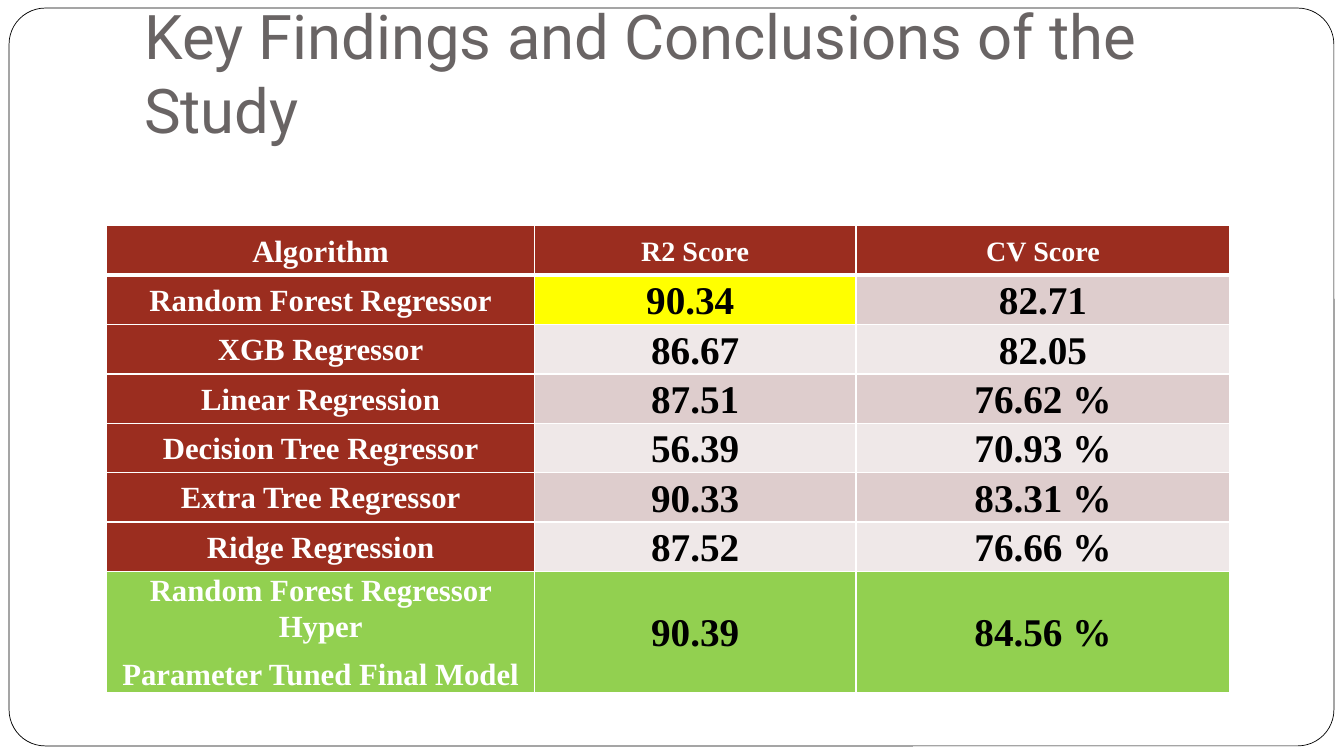
from lxml import etree
from pptx import Presentation
from pptx.dml.color import RGBColor
from pptx.enum.shapes import MSO_SHAPE
from pptx.enum.text import MSO_ANCHOR, MSO_AUTO_SIZE, PP_ALIGN
from pptx.oxml.ns import qn
from pptx.util import Inches, Pt

ROUNDED = MSO_SHAPE.ROUNDED_RECTANGLE
MIDDLE, BOTTOM = MSO_ANCHOR.MIDDLE, MSO_ANCHOR.BOTTOM
LEFT, CENTER = PP_ALIGN.LEFT, PP_ALIGN.CENTER
NO_AUTOFIT = MSO_AUTO_SIZE.NONE

WHITE = RGBColor(0xFF, 0xFF, 0xFF)
BLACK = RGBColor(0x00, 0x00, 0x00)
GRAY = RGBColor(0x69, 0x64, 0x64)
BRICK = RGBColor(0x9B, 0x2D, 0x1F)
ROSE = RGBColor(0xDE, 0xCD, 0xCD)
PALE_ROSE = RGBColor(0xEF, 0xE8, 0xE8)
YELLOW = RGBColor(0xFF, 0xFF, 0x00)
GREEN = RGBColor(0x92, 0xD0, 0x50)

TITLE_FONT = "Roboto"
TABLE_FONT = "Times New Roman"

SCORES = [
    ("Algorithm", "R2 Score", "CV Score"),
    ("Random Forest Regressor", "90.34 ", "82.71"),
    ("XGB Regressor", "86.67", "82.05"),
    ("Linear Regression", "87.51", "76.62 %"),
    ("Decision Tree Regressor", "56.39", "70.93 %"),
    ("Extra Tree Regressor", "90.33", "83.31 %"),
    ("Ridge Regression", "87.52", "76.66 %"),
    ("Random Forest Regressor Hyper\nParameter Tuned Final Model", "90.39", "84.56 %"),
]
COLUMN_WIDTHS = (4.24, 3.19, 3.71)
ROW_HEIGHT, FINAL_ROW_HEIGHT = 0.49, 1.2
FINAL_ROW = len(SCORES) - 1
BEST_SCORE = (1, 1)


def add_run(paragraph, text, font, size, color, bold=False):
    run = paragraph.add_run()
    run.text = text
    run.font.name = font
    run.font.size = Pt(size)
    run.font.color.rgb = color
    run.font.bold = bold


def add_frame(slide, left, top, width, height):
    """Draw the rounded page border behind the title."""
    frame = slide.shapes.add_shape(
        ROUNDED, Inches(left), Inches(top), Inches(width), Inches(height))
    frame.adjustments[0] = 0.049
    frame.shadow.inherit = False
    frame.fill.solid()
    frame.fill.fore_color.rgb = WHITE
    frame.line.color.rgb = BLACK
    frame.line.width = Pt(0.5)
    slide.shapes.title.element.addprevious(frame.element)


def place_title(slide, text, left, top, width, height):
    title = slide.shapes.title
    title.left, title.top = Inches(left), Inches(top)
    title.width, title.height = Inches(width), Inches(height)
    body = title.text_frame
    body.auto_size = NO_AUTOFIT
    body.word_wrap = True
    body.vertical_anchor = BOTTOM
    body.margin_left = body.margin_right = body.margin_bottom = Inches(0.1)
    body.margin_top = Inches(0.05)
    paragraph = body.paragraphs[0]
    paragraph.alignment = LEFT
    add_run(paragraph, text, TITLE_FONT, 44, GRAY)


def set_borders(cell, row):
    properties = cell._tc.get_or_add_tcPr()
    heavy_side = {0: "lnB", 1: "lnT"}.get(row)
    for side in ("lnL", "lnR", "lnT", "lnB"):
        width = Pt(3 if side == heavy_side else 1)
        border = etree.SubElement(properties, qn(f"a:{side}"), w=str(width))
        fill = etree.SubElement(border, qn("a:solidFill"))
        etree.SubElement(fill, qn("a:srgbClr"), val=str(WHITE))


def cell_fill(row, column):
    if row == FINAL_ROW:
        return GREEN
    if row == 0 or column == 0:
        return BRICK
    if (row, column) == BEST_SCORE:
        return YELLOW
    return ROSE if row % 2 else PALE_ROSE


def fill_cell(cell, text, row, column):
    set_borders(cell, row)
    cell.fill.solid()
    cell.fill.fore_color.rgb = cell_fill(row, column)
    cell.vertical_anchor = MIDDLE
    cell.margin_left = cell.margin_right = Inches(0.07)
    cell.margin_top = cell.margin_bottom = 0
    if column == 0:
        size, color = 22, WHITE
    elif row == 0:
        size, color = 20, WHITE
    else:
        size, color = 28, BLACK
    body = cell.text_frame
    for index, line in enumerate(text.split("\n")):
        paragraph = body.add_paragraph() if index else body.paragraphs[0]
        paragraph.alignment = CENTER
        paragraph.line_spacing = 1.07
        paragraph.space_after = Pt(8)
        add_run(paragraph, line, TABLE_FONT, size, color, bold=True)


def add_score_table(slide, left, top):
    heights = [ROW_HEIGHT] * FINAL_ROW + [FINAL_ROW_HEIGHT]
    table = slide.shapes.add_table(
        len(SCORES), len(COLUMN_WIDTHS), Inches(left), Inches(top),
        Inches(sum(COLUMN_WIDTHS)), Inches(sum(heights))).table
    for column, width in zip(table.columns, COLUMN_WIDTHS):
        column.width = Inches(width)
    for row, height in zip(table.rows, heights):
        row.height = Inches(height)
    for row, texts in enumerate(SCORES):
        for column, text in enumerate(texts):
            fill_cell(table.cell(row, column), text, row, column)


def main():
    presentation = Presentation()
    presentation.slide_width = Inches(13.33)
    presentation.slide_height = Inches(7.5)
    slide = presentation.slides.add_slide(presentation.slide_layouts[5])
    add_frame(slide, 0.09, 0.08, 13.14, 7.32)
    place_title(slide, "Key Findings and Conclusions of the Study",
                1.33, 0.3, 11.33, 1.25)
    add_score_table(slide, 1.06, 2.24)
    presentation.save("out.pptx")


if __name__ == "__main__":
    main()
